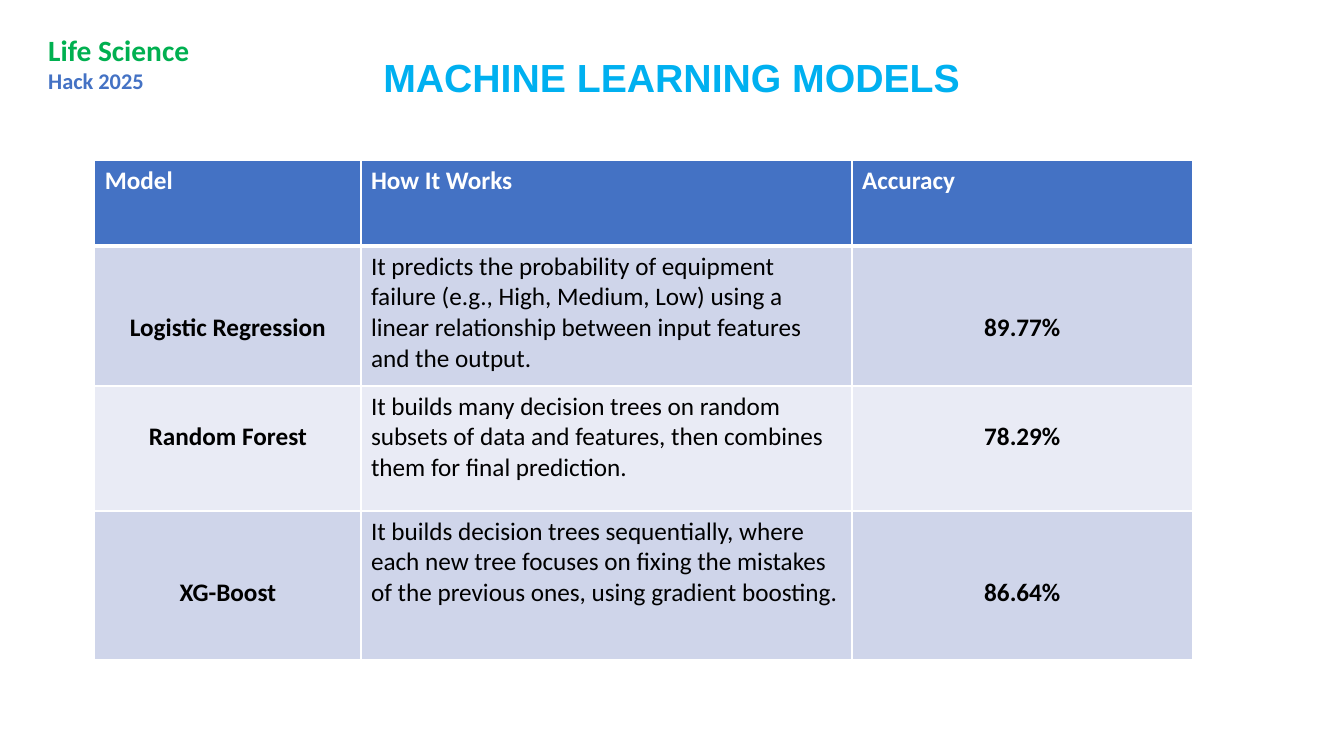
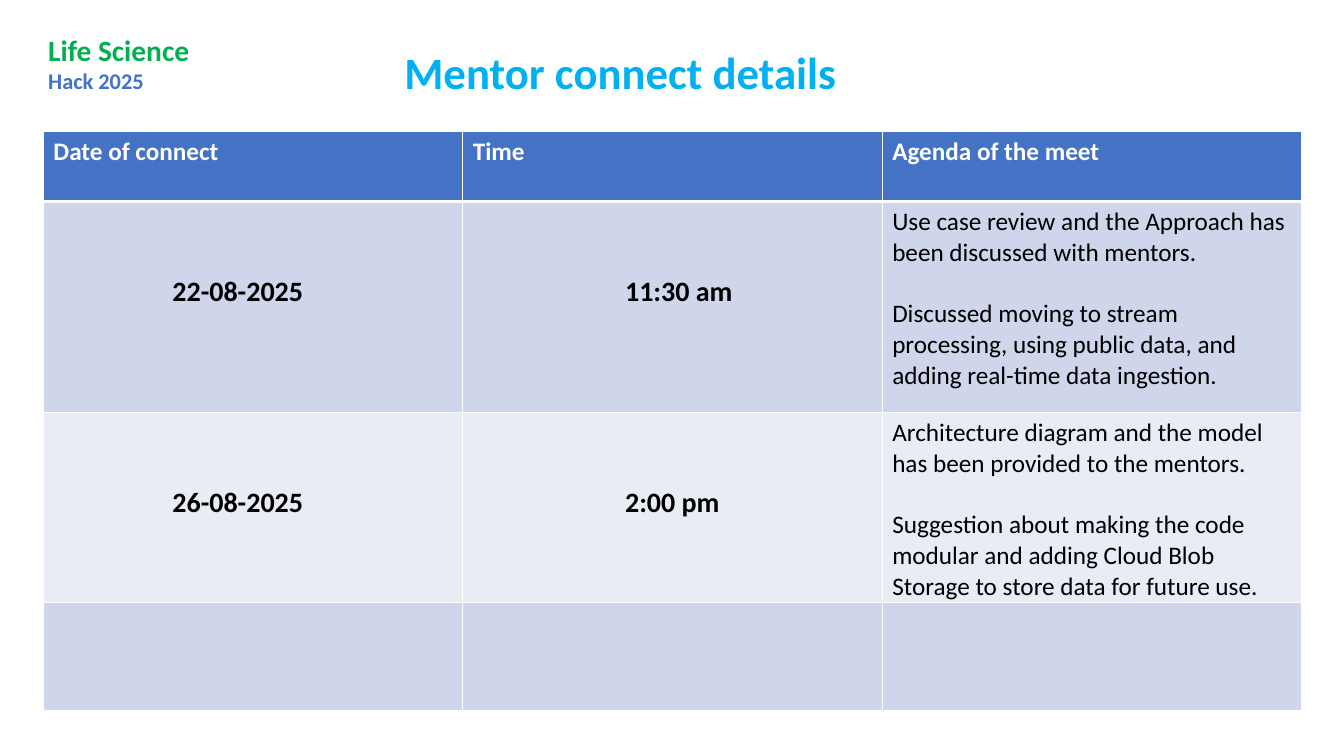
from dataclasses import dataclass

from lxml import etree
from pptx import Presentation
from pptx.dml.color import RGBColor
from pptx.enum import text
from pptx.oxml import ns
from pptx.util import Inches, Pt


@dataclass(frozen=True)
class Theme:
    """Colours, fonts and type sizes shared by the slides."""
    green: str = "00B050"
    blue: str = "4472C4"
    sky: str = "00B0F0"
    white: str = "FFFFFF"
    black: str = "000000"
    bands: tuple = ("CFD5EA", "E9EBF5")
    body_font: str = "Calibri"
    display_font: str = "Arial"
    event_size: int = 21
    year_size: int = 16
    body_size: int = 18
    meeting_size: int = 20
    rule: int = 1
    header_rule: int = 3


@dataclass(frozen=True)
class Column:
    """Width and text style of one table column."""
    heading: str
    width: float
    bold: bool = True
    size: int = 18
    align: object = text.PP_ALIGN.LEFT
    indent: float = 0.1


THEME = Theme()
CENTER = text.PP_ALIGN.CENTER


def style_paragraph(paragraph, size, color, bold=True, font=THEME.body_font):
    """Format every run of a paragraph."""
    for run in paragraph.runs:
        run.font.name = font
        run.font.size = Pt(size)
        run.font.bold = bold
        run.font.color.rgb = RGBColor.from_string(color)


def add_text_frame(slide, box, margins=(0, 0)):
    """Add a wrapping text box and return its text frame."""
    frame = slide.shapes.add_textbox(*map(Inches, box)).text_frame
    frame.word_wrap = True
    frame.margin_left = frame.margin_right = Inches(margins[0])
    frame.margin_top = frame.margin_bottom = Inches(margins[1])
    return frame


def add_event_label(slide, box=(0.38, 0.27, 3.99, 0.72)):
    """Write the two-line event name."""
    frame = add_text_frame(slide, box, (0.1, 0.05))
    frame.text = "Life Science\nHack 2025"
    event, year = frame.paragraphs
    style_paragraph(event, THEME.event_size, THEME.green)
    style_paragraph(year, THEME.year_size, THEME.blue)


def add_title(slide, box, wording, size, font, align, anchor):
    """Write the slide title in the shared title colour."""
    frame = add_text_frame(slide, box)
    frame.vertical_anchor = anchor
    frame.text = wording
    frame.paragraphs[0].alignment = align
    style_paragraph(frame.paragraphs[0], size, THEME.sky, font=font)


def set_borders(cell, top, bottom):
    """Draw white rules on the four sides of a cell."""
    properties = cell._tc.get_or_add_tcPr()
    sides = (("L", THEME.rule), ("R", THEME.rule), ("T", top), ("B", bottom))
    for position, (side, points) in enumerate(sides):
        line = etree.Element(ns.qn(f"a:ln{side}"), w=str(Pt(points)))
        fill = etree.SubElement(line, ns.qn("a:solidFill"))
        etree.SubElement(fill, ns.qn("a:srgbClr"), val=THEME.white)
        properties.insert(position, line)


def fill_cell(cell, wording, fill, color, column, drop=0.05):
    """Write one cell, with later paragraphs set one line apart."""
    cell.fill.solid()
    cell.fill.fore_color.rgb = RGBColor.from_string(fill)
    cell.margin_left = Inches(column.indent)
    cell.margin_top = Inches(drop)
    cell.margin_bottom = 0
    cell.text_frame.text = wording
    for index, paragraph in enumerate(cell.text_frame.paragraphs):
        paragraph.alignment = column.align
        paragraph.space_before = Pt(22 if index else 0)
        style_paragraph(paragraph, column.size, color, column.bold)


def add_banded_table(slide, left, top, columns, heights, records, drops):
    """Build a table with a blue header and alternating row bands."""
    width = sum(column.width for column in columns)
    table = slide.shapes.add_table(
        len(heights), len(columns), Inches(left), Inches(top),
        Inches(width), Inches(sum(heights))).table
    for row, height in zip(table.rows, heights):
        row.height = Inches(height)
    for c, column in enumerate(columns):
        table.columns[c].width = Inches(column.width)
        header = table.cell(0, c)
        fill_cell(header, column.heading, THEME.blue, THEME.white, Column("", 0))
        set_borders(header, THEME.rule, THEME.header_rule)
        for r, record in enumerate(records):
            cell = table.cell(r + 1, c)
            drop = drops[r] if column.bold else 0.05
            fill_cell(cell, record[c], THEME.bands[r % 2], THEME.black, column, drop)
            set_borders(cell, THEME.rule if r else THEME.header_rule, THEME.rule)


def build_models_slide(slide):
    """Compare the machine learning models."""
    add_event_label(slide)
    add_title(slide, (2.01, 0.33, 9.3, 0.67), "MACHINE LEARNING MODELS", 28,
              THEME.display_font, CENTER, text.MSO_ANCHOR.BOTTOM)
    columns = (Column("Model", 2.64, align=CENTER),
               Column("How It Works", 4.87, bold=False),
               Column("Accuracy", 3.38, align=CENTER))
    models = (
        ("Logistic Regression",
         "It predicts the probability of equipment failure (e.g., High, Medium, Low) "
         "using a linear relationship between input features and the output.",
         "89.77%"),
        ("Random Forest",
         "It builds many decision trees on random subsets of data and features, "
         "then combines them for final prediction.",
         "78.29%"),
        ("XG-Boost",
         "It builds decision trees sequentially, where each new tree focuses on fixing "
         "the mistakes of the previous ones, using gradient boosting.",
         "86.64%"),
    )
    add_banded_table(slide, 0.94, 1.59, columns, (0.85, 1.39, 1.24, 1.47),
                     models, (0.66, 0.35, 0.66))


def build_mentor_slide(slide):
    """List the meetings with mentors."""
    add_event_label(slide)
    add_title(slide, (4.01, 0.44, 4.39, 0.54), "Mentor connect details", 32,
              THEME.body_font, text.PP_ALIGN.LEFT, text.MSO_ANCHOR.TOP)
    columns = (Column("Date of connect", 4.16, size=THEME.meeting_size, indent=1.28),
               Column("Time", 4.16, size=THEME.meeting_size, indent=1.61),
               Column("Agenda of the meet", 4.16, bold=False))
    meetings = (
        ("22-08-2025", "11:30 am",
         "Use case review and the Approach has been discussed with mentors.\n"
         "Discussed moving to stream processing, using public data, "
         "and adding real-time data ingestion."),
        ("26-08-2025", "2:00 pm",
         "Architecture diagram and the model has been provided to the mentors.\n"
         "Suggestion about making the code modular and adding Cloud Blob Storage "
         "to store data for future use."),
        ("", "", ""),
    )
    add_banded_table(slide, 0.43, 1.3, columns, (0.7, 2.09, 1.89, 1.07),
                     meetings, (0.73, 0.73, 0.05))


def main():
    """Build and save the presentation."""
    deck = Presentation()
    deck.slide_width, deck.slide_height = Inches(13.33), Inches(7.5)
    for build in (build_models_slide, build_mentor_slide):
        build(deck.slides.add_slide(deck.slide_layouts[6]))
    deck.save("out.pptx")


if __name__ == "__main__":
    main()
